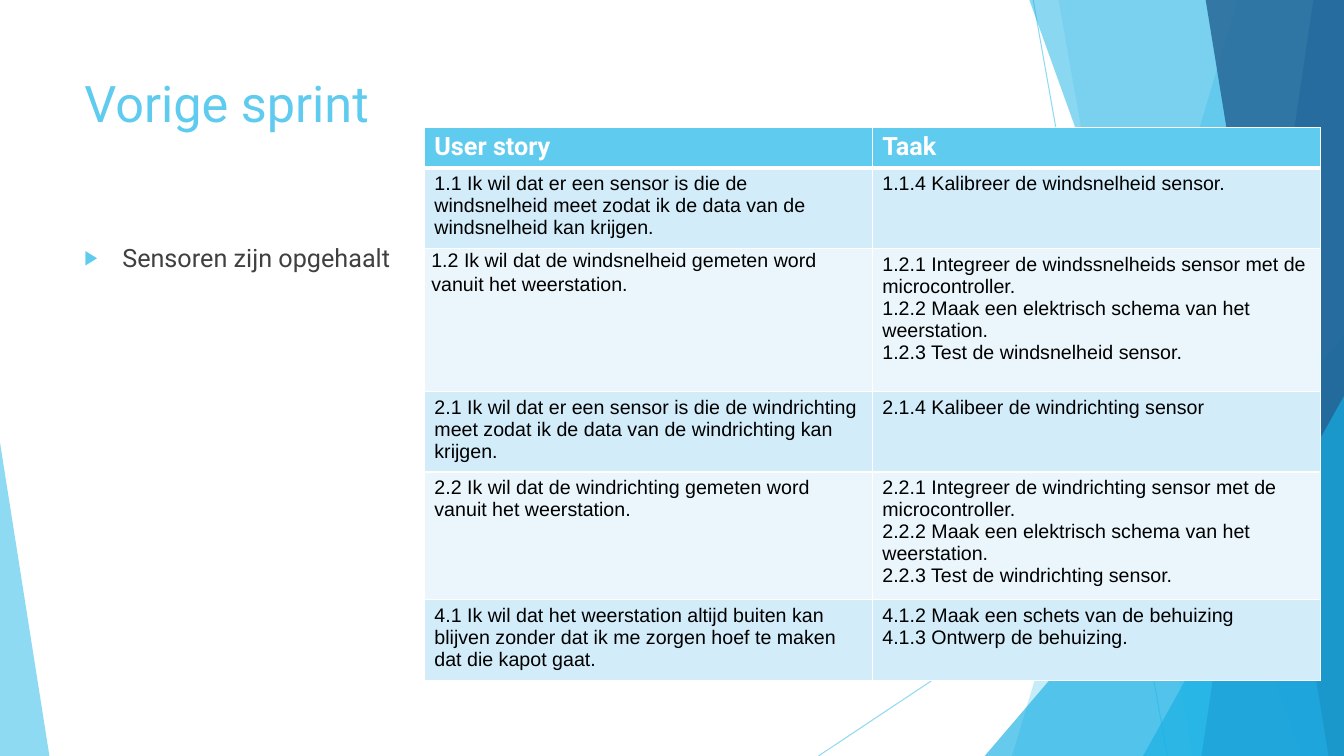
import pptx
import pptx.util
import pptx.oxml
import pptx.oxml.ns
from pptx.dml.color import RGBColor
from pptx.enum.shapes import MSO_CONNECTOR, MSO_SHAPE

Pt = pptx.util.Pt
qn = pptx.oxml.ns.qn
NS = pptx.oxml.ns.nsdecls("a")

SKY = RGBColor(0x5F, 0xCB, 0xEF)
CYAN = RGBColor(0x17, 0xB0, 0xE4)
BLUE = RGBColor(0x2E, 0x83, 0xC3)
NAVY = RGBColor(0x22, 0x62, 0x92)
GREY = RGBColor(0x40, 0x40, 0x40)
BLACK = RGBColor(0, 0, 0)
WHITE = RGBColor(0xFF, 0xFF, 0xFF)
BANDS = [RGBColor(0xEA, 0xF6, 0xFC), RGBColor(0xD2, 0xEC, 0xF9)]
WIDE, HIGH = 960, 540

deck = pptx.Presentation()
deck.slide_width, deck.slide_height = Pt(WIDE), Pt(HIGH)
slide = deck.slides.add_slide(deck.slide_layouts[6])
shapes = slide.shapes


def tint(shape, color, alpha):
    """Fill a shape with a see-through colour and no outline."""
    shape.shadow.inherit = False
    shape.line.fill.background()
    shape.fill.solid()
    shape.fill.fore_color.rgb = color
    tone = shape.fill._xPr.find(qn("a:solidFill"))[0]
    tone.append(pptx.oxml.parse_xml(f'<a:alpha {NS} val="{alpha * 1000}"/>'))


def style(par, size, font, color, bold=False):
    """Format every run of a paragraph."""
    for run in par.runs:
        run.font.size, run.font.name, run.font.bold = Pt(size), font, bold
        run.font.color.rgb = color


# Thin background lines
for x1, y1, x2, y2 in [(738, 0, 833.8, HIGH), (WIDE, 290.2, 584.6, HIGH)]:
    line = shapes.add_connector(MSO_CONNECTOR.STRAIGHT, Pt(x1), Pt(y1), Pt(x2), Pt(y2))
    line.line.width = Pt(0.75)
    line.line.color.rgb = SKY
    tone = line.line.fill._xPr.find(qn("a:solidFill"))[0]
    tone.append(pptx.oxml.parse_xml(f'<a:alpha {NS} val="70000"/>'))
    line._element.spPr.append(pptx.oxml.parse_xml(f"<a:effectLst {NS}/>"))

# Background facets: slabs (top x, bottom x) reach the right edge,
# triangles (left, top, width, height, apex) stand on the bottom edge
facets = [
    ((884.2, 722.9), SKY, 36),
    ((756, 851.8), SKY, 20),
    ((703.4, 239.8, 256.6, 300.2, 1), CYAN, 66),
    ((735.1, 929.5), CYAN, 50),
    ((938.2, 858.2), BLUE, 70),
    ((861.1, 949), NAVY, 80),
    ((816.5, 283, 143.5, 257, 1), CYAN, 66),
    ((0, 316.1, 35.3, 223.9, 0), SKY, 70),
]
for place, color, alpha in facets:
    if len(place) == 2:
        top, base = place
        pen = shapes.build_freeform(Pt(top), Pt(-0.6), 1.0)
        ends = [(WIDE, -0.6), (WIDE, HIGH), (base, HIGH)]
        pen.add_line_segments([(Pt(x), Pt(y)) for x, y in ends], close=True)
        facet = pen.convert_to_shape()
    else:
        facet = shapes.add_shape(MSO_SHAPE.ISOSCELES_TRIANGLE, *map(Pt, place[:4]))
        facet.adjustments[0] = place[4]
    tint(facet, color, alpha)

# Title and bullet
texts = [
    ("Vorige sprint", 48.2, 103.7, 36, SKY),
    ("Sensoren zijn opgehaalt", 169.9, 305.3, 18, GREY),
]
for text, top, height, size, color in texts:
    box = shapes.add_textbox(Pt(53.3), Pt(top), Pt(676.8), Pt(height))
    box.text_frame.word_wrap = True
    box.text_frame.text = text
    par = box.text_frame.paragraphs[0]
    style(par, size, "Roboto", color)
par.space_before = Pt(10)
props = par._p.get_or_add_pPr()
props.set("marL", str(Pt(27)))
props.set("indent", str(Pt(-27)))
for mark in (
    f'<a:buClr {NS}><a:srgbClr val="{SKY}"/></a:buClr>',
    f'<a:buSzPct {NS} val="80000"/>',
    f'<a:buFont {NS} typeface="Arial"/>',
    f'<a:buChar {NS} char="▶"/>',
):
    props.append(pptx.oxml.parse_xml(mark))

# Sprint table
rows = [
    (28.8, "User story", "Taak"),
    (54, "1.1 Ik wil dat er een sensor is die de windsnelheid meet zodat ik de data van de "
     "windsnelheid kan krijgen.", "1.1.4 Kalibreer de windsnelheid sensor."),
    (102, "1.2 Ik wil dat de windsnelheid gemeten word vanuit het weerstation.",
     "1.2.1 Integreer de windssnelheids sensor met de microcontroller.\n"
     "1.2.2 Maak een elektrisch schema van het weerstation.\n"
     "1.2.3 Test de windsnelheid sensor."),
    (54, "2.1 Ik wil dat er een sensor is die de windrichting meet zodat ik de data van de "
     "windrichting kan krijgen.", "2.1.4 Kalibeer de windrichting sensor"),
    (86, "2.2 Ik wil dat de windrichting gemeten word vanuit het weerstation.",
     "2.2.1 Integreer de windrichting sensor met de microcontroller.\n"
     "2.2.2 Maak een elektrisch schema van het weerstation.\n"
     "2.2.3 Test de windrichting sensor."),
    (54, "4.1 Ik wil dat het weerstation altijd buiten kan blijven zonder dat ik me zorgen "
     "hoef te maken dat die kapot gaat.",
     "4.1.2 Maak een schets van de behuizing\n4.1.3 Ontwerp de behuizing."),
]
total = sum(row[0] for row in rows)
table = shapes.add_table(len(rows), 2, Pt(303.1), Pt(91), Pt(640), Pt(total)).table
for r, (height, *cells) in enumerate(rows):
    table.rows[r].height = Pt(height)
    for c, text in enumerate(cells):
        cell = table.cell(r, c)
        cell.text_frame.text = text
        for par in cell.text_frame.paragraphs:
            if r == 0:
                style(par, 18, "Roboto", WHITE, True)
            else:
                style(par, 14, "Arial", BLACK)
        props = cell._tc.get_or_add_tcPr()
        for side in "LRTB":
            thick = 3 if (r, side) in [(0, "B"), (1, "T")] else 1
            props.append(pptx.oxml.parse_xml(
                f'<a:ln{side} {NS} w="{Pt(thick)}"><a:solidFill>'
                f'<a:srgbClr val="{WHITE}"/></a:solidFill></a:ln{side}>'))
        cell.fill.solid()
        cell.fill.fore_color.rgb = BANDS[r % 2] if r else SKY

# The 1.2 story sits tighter in its cell
story = table.cell(2, 0)
story.margin_left = story.margin_right = Pt(5)
story.margin_top = story.margin_bottom = 0
par = story.text_frame.paragraphs[0]
par.line_spacing, par.space_after = 1.07, Pt(8)

deck.save("out.pptx")
